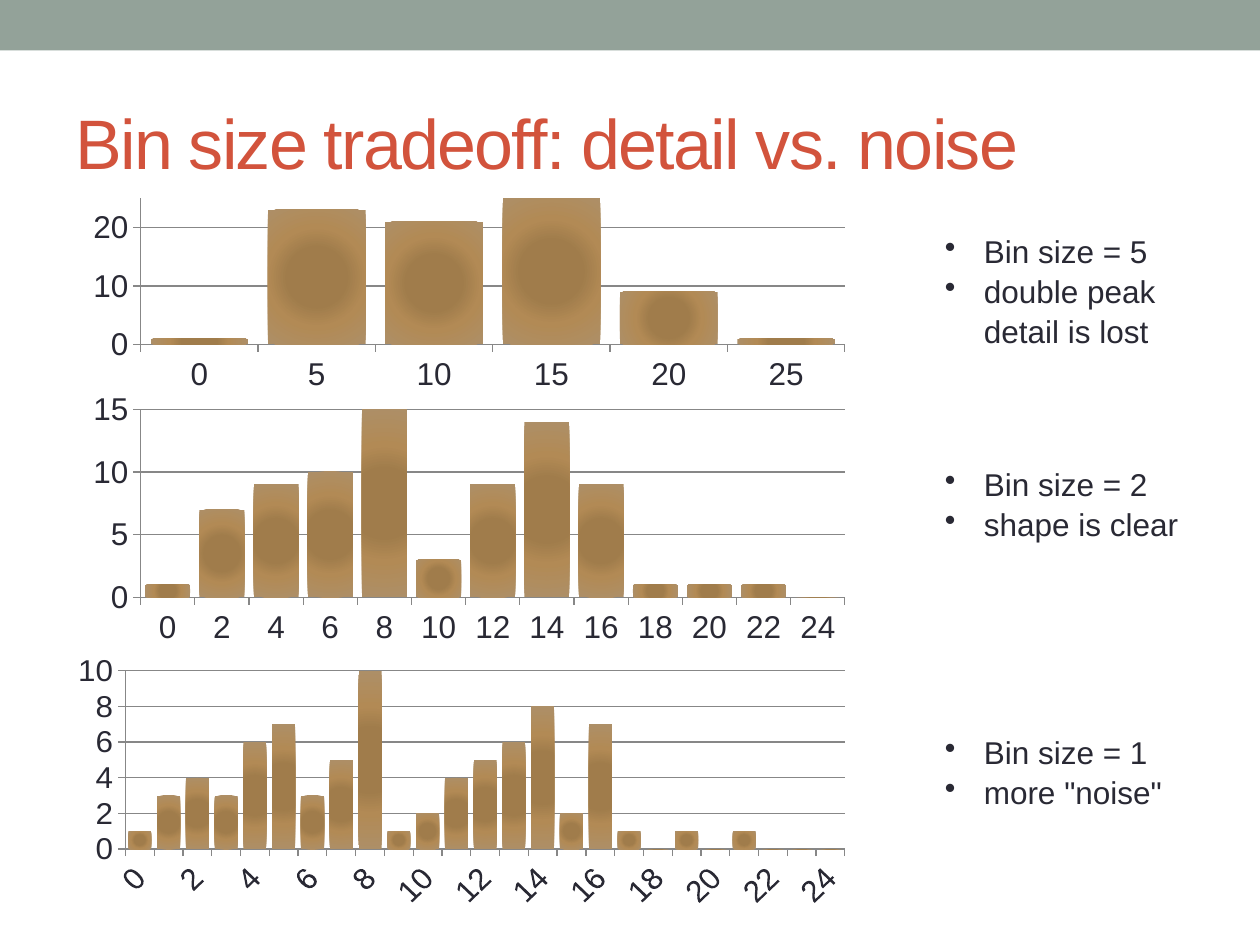
import pptx
import pptx.chart.data
import pptx.dml.color
import pptx.enum.chart
import pptx.enum.shapes
import pptx.enum.text
import pptx.oxml
import pptx.oxml.ns
import pptx.util
from dataclasses import dataclass

Inches = pptx.util.Inches
Pt = pptx.util.Pt
RGB = pptx.dml.color.RGBColor.from_string


@dataclass(frozen=True)
class Theme:
    font: str = "Arial"
    band: str = "93A299"
    title: str = "D2533C"
    text: str = "292934"
    axis: str = "878787"
    bar_center: str = "A07C4B"
    bar_middle: str = "B28A55"
    bar_edge: str = "AD8F67"
    title_size: int = 40
    body_size: int = 18


theme = Theme()


def add_text(frame, text, size=theme.body_size, color=theme.text, spacing=None,
             bullet=False, before=0, line_spacing=None, first=False):
    paragraph = frame.paragraphs[0] if first else frame.add_paragraph()
    paragraph.space_before = Pt(before)
    if line_spacing:
        paragraph.line_spacing = line_spacing
    run = paragraph.add_run()
    run.text = text
    run.font.name = theme.font
    run.font.size = Pt(size)
    run.font.color.rgb = RGB(color)
    if spacing:
        run.font._element.set("spc", str(spacing * 100))
    if bullet:
        properties = paragraph._p.get_or_add_pPr()
        properties.set("marL", str(Inches(0.31)))
        properties.set("indent", str(Inches(-0.31)))
        mark = pptx.oxml.parse_xml(f'<a:buChar {pptx.oxml.ns.nsdecls("a")} char="•"/>')
        properties.append(mark)


presentation = pptx.Presentation()
presentation.slide_width = Inches(10)
presentation.slide_height = Inches(7.5)
slide = presentation.slides.add_slide(presentation.slide_layouts[6])

band = slide.shapes.add_shape(
    pptx.enum.shapes.MSO_SHAPE.RECTANGLE, 0, 0, Inches(10), Inches(0.4))
band.shadow.inherit = False
band.fill.solid()
band.fill.fore_color.rgb = RGB(theme.band)
band.line.fill.background()

title = slide.shapes.add_textbox(Inches(0.5), Inches(0.58), Inches(9), Inches(1.08))
title.text_frame.word_wrap = True
title.text_frame.vertical_anchor = pptx.enum.text.MSO_ANCHOR.MIDDLE
add_text(title.text_frame, "Bin size tradeoff: detail vs. noise",
         size=theme.title_size, color=theme.title, spacing=-1, first=True)

histograms = [
    dict(bin=5, top=1.55, height=1.6, maximum=25, major=10, gap=20, rotation=0,
         plot=(0.08, 0.015, 0.9, 0.725), counts=[1, 23, 21, 25, 9, 1]),
    dict(bin=2, top=3.07, height=2.09, maximum=15, major=5, gap=20, rotation=0,
         plot=(0.08, 0.085, 0.9, 0.715),
         counts=[1, 7, 9, 10, 15, 3, 9, 14, 9, 1, 1, 1, 0]),
    dict(bin=1, top=5.19, height=2.06, maximum=10, major=2, gap=25, rotation=-45,
         plot=(0.057, 0.02, 0.923, 0.72),
         counts=[1, 3, 4, 3, 6, 7, 3, 5, 10, 1, 2, 4, 5, 6, 8, 2, 7, 1, 0, 1, 0, 1,
                 0, 0, 0]),
]

for histogram in histograms:
    data = pptx.chart.data.CategoryChartData()
    data.categories = [index * histogram["bin"] for index in range(len(histogram["counts"]))]
    data.add_series("Series 1", histogram["counts"])
    chart = slide.shapes.add_chart(
        pptx.enum.chart.XL_CHART_TYPE.COLUMN_CLUSTERED, Inches(0.62),
        Inches(histogram["top"]), Inches(6.21), Inches(histogram["height"]), data).chart
    chart.has_legend = False
    chart.has_title = False
    chart.font.name = theme.font
    chart.font.size = Pt(theme.body_size)
    chart.font.color.rgb = RGB(theme.text)

    values = chart.value_axis
    values.minimum_scale = 0
    values.maximum_scale = histogram["maximum"]
    values.major_unit = histogram["major"]
    values.has_major_gridlines = True
    for axis in (chart.category_axis, values):
        axis.major_tick_mark = pptx.enum.chart.XL_TICK_MARK.OUTSIDE
        axis.tick_labels.font.size = Pt(theme.body_size)
        axis.format.line.color.rgb = RGB(theme.axis)
        axis.format.line.width = Pt(0.75)
    values.major_gridlines.format.line.color.rgb = RGB(theme.axis)
    values.major_gridlines.format.line.width = Pt(0.75)
    if histogram["rotation"]:
        body = chart.category_axis._element.txPr.find(pptx.oxml.ns.qn("a:bodyPr"))
        body.set("rot", str(histogram["rotation"] * 60000))

    bars = chart.plots[0]
    bars.gap_width = histogram["gap"]
    bars.vary_by_categories = False
    stops = "".join(
        f'<a:gs pos="{position}"><a:srgbClr val="{color}"/></a:gs>'
        for position, color in [(0, theme.bar_center), (35000, theme.bar_center),
                                (60000, theme.bar_middle), (100000, theme.bar_edge)])
    gradient = pptx.oxml.parse_xml(
        f'<a:gradFill {pptx.oxml.ns.nsdecls("a")}><a:gsLst>{stops}</a:gsLst>'
        '<a:path path="circle">'
        '<a:fillToRect l="50000" t="50000" r="50000" b="50000"/></a:path></a:gradFill>')
    bars.series[0].format.line.fill.background()
    bars.series[0]._element.spPr.insert(0, gradient)

    edges = "".join(f'<c:{name} val="{value}"/>'
                    for name, value in zip("xywh", histogram["plot"]))
    layout = pptx.oxml.parse_xml(
        f'<c:layout {pptx.oxml.ns.nsdecls("c")}><c:manualLayout>'
        '<c:layoutTarget val="inner"/><c:xMode val="edge"/><c:yMode val="edge"/>'
        f'{edges}</c:manualLayout></c:layout>')
    plot_area = chart._chartSpace.chart.plotArea
    for old_layout in plot_area.findall(pptx.oxml.ns.qn("c:layout")):
        plot_area.remove(old_layout)
    plot_area.insert(0, layout)

notes = slide.shapes.add_textbox(Inches(7.4), Inches(1.78), Inches(2.41), Inches(4.64))
notes.text_frame.word_wrap = True
comments = [
    ("Bin size = 5", 0), ("double peak detail is lost", 0),
    ("Bin size = 2", 65), ("shape is clear", 0),
    ("Bin size = 1", 108), ("more \"noise\"", 0),
]
for index, (comment, before) in enumerate(comments):
    add_text(notes.text_frame, comment, bullet=True, before=before,
             line_spacing=1.05, first=index == 0)

presentation.save("out.pptx")
